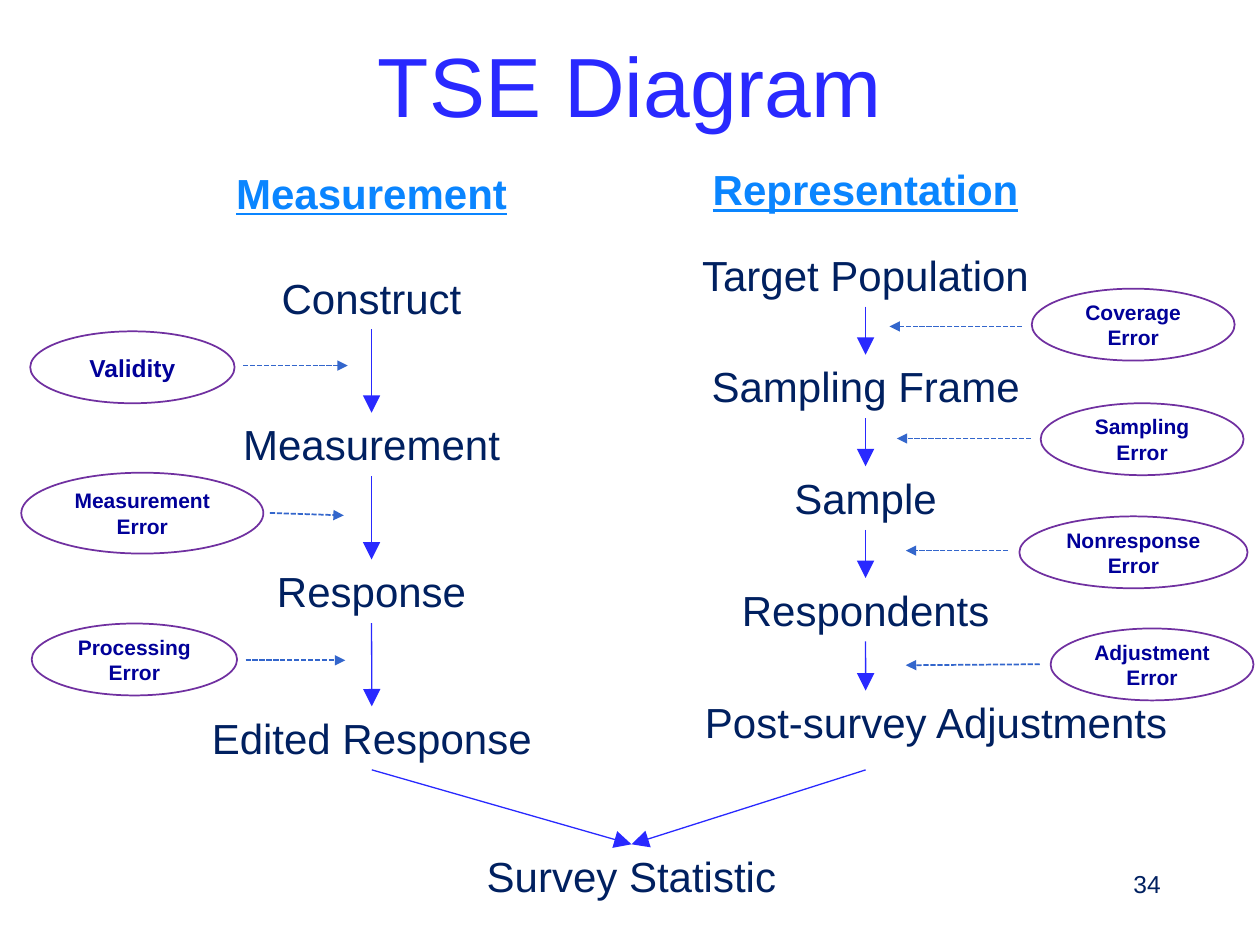
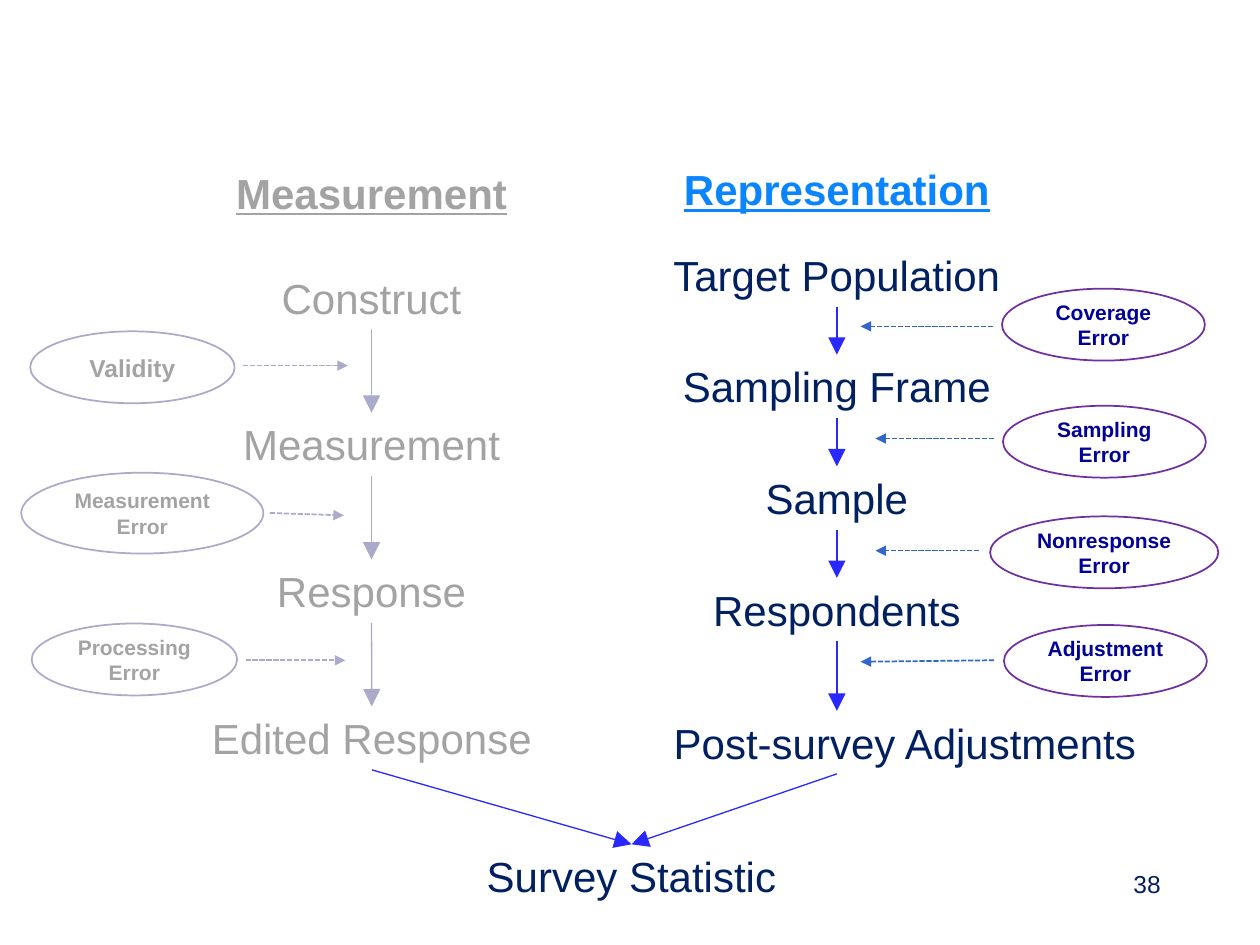
from dataclasses import dataclass

from lxml.etree import SubElement
from pptx import Presentation
from pptx.dml.color import RGBColor
from pptx.enum.dml import MSO_LINE
from pptx.enum.shapes import MSO_CONNECTOR, MSO_SHAPE
from pptx.enum.text import MSO_ANCHOR, PP_ALIGN
from pptx.oxml.ns import qn
from pptx.shapes.autoshape import Shape
from pptx.shapes.connector import Connector
from pptx.slide import Slide
from pptx.util import Cm, Pt


@dataclass(frozen=True)
class Theme:
    font: str = "Arial"
    title: str = "2929FF"
    ink: str = "002060"
    white: str = "FFFFFF"
    title_size: int = 48
    step_size: int = 24
    page_size: int = 14
    thin: float = 0.75
    thick: float = 1


@dataclass(frozen=True)
class Tone:
    """Colours of one side of the diagram."""
    head: str
    step: str
    flow: str
    ring: str
    note: str
    dash: str


@dataclass(frozen=True)
class Error:
    """An oval note and its dashed arrow, in centimetres."""
    text: str
    left: float
    top: float
    width: float
    start: float
    stop: float
    level: float
    drop: float = 0
    height: float = 1.45
    size: int = 12


@dataclass(frozen=True)
class Side:
    head: str
    head_top: float
    mid: float
    steps: tuple[str, ...]
    tops: tuple[float, ...]
    errors: tuple[Error, ...]
    last_left: float
    last_width: float
    merge_top: float


THEME = Theme()
VIVID = Tone("0A85FF", THEME.ink, THEME.title, "7030A0", "000099", "3366CC")
MUTED = Tone("A3A3A3", "A3A3A3", "AAAACA", "AAAACA", "A3A3A3", "AAAACA")

WIDTH, HEIGHT = 25.4, 19.05
BOX_W, BOX_H = 7.67, 1.28
HEAD_W = 7.06
OVAL_W, WIDE_W = 4.09, 4.6
GOAL_MID, GOAL_TOP = 12.73, 17.02


def rows(first: float, pitch: float, count: int) -> tuple[float, ...]:
    return tuple(first + pitch * i for i in range(count))


MEASURE = Side(
    "Measurement", 3.25, 7.49,
    ("Construct", "Measurement", "Response", "Edited Response"),
    rows(5.36, 2.96, 4),
    (
        Error("Validity", 0.61, 6.68, 4.12, 4.9, 7.01, 7.37, size=14),
        Error("Measurement Error", 0.43, 9.53, 4.88, 5.44, 6.93, 10.34, 0.05, 1.63),
        Error("Processing Error", 0.64, 12.57, 4.14, 4.95, 6.96, 13.31),
    ),
    3.66, BOX_W, 15.52,
)


def represent(mid: float, last_left: float, last_top: float, merge_top: float,
              errors: tuple[Error, ...]) -> Side:
    steps = ("Target Population", "Sampling Frame", "Sample", "Respondents",
             "Post-survey Adjustments")
    return Side("Representation", 3.18, mid, steps, rows(4.9, 2.25, 4) + (last_top,),
                errors, last_left, 10.52, merge_top)


FIRST = represent(17.45, 13.61, 13.92, 15.52, (
    Error("Coverage\nError", 20.8, 5.82, OVAL_W, 20.6, 17.93, 6.58),
    Error("Sampling Error", 20.98, 8.13, OVAL_W, 20.78, 18.08, 8.84),
    Error("Nonresponse Error", 20.55, 10.41, WIDE_W, 20.32, 18.26, 11.1),
    Error("Adjustment Error", 21.18, 12.67, OVAL_W, 20.96, 18.26, 13.39, 0.02),
))
SECOND = represent(16.87, 12.98, 14.33, 15.6, (
    Error("Coverage\nError", 20.2, 5.82, OVAL_W, 20.02, 17.35, 6.58),
    Error("Sampling Error", 20.22, 8.18, OVAL_W, 20.04, 17.65, 8.84),
    Error("Nonresponse Error", 19.96, 10.41, WIDE_W, 19.74, 17.65, 11.1),
    Error("Adjustment Error", 20.24, 12.6, OVAL_W, 20.04, 17.35, 13.31, 0.03),
))


def paint(color: str) -> RGBColor:
    return RGBColor.from_string(color)


def write(shape: Shape, text: str, size: int, color: str, bold: bool = False,
          line: bool = False, align: PP_ALIGN = PP_ALIGN.CENTER,
          anchor: MSO_ANCHOR = MSO_ANCHOR.TOP) -> None:
    frame = shape.text_frame
    frame.word_wrap = True
    frame.vertical_anchor = anchor
    frame.text = text
    for para in frame.paragraphs:
        para.alignment = align
        font = para.font
        font.name, font.size = THEME.font, Pt(size)
        font.bold, font.underline = bold, line
        font.color.rgb = paint(color)


def add_text(slide: Slide, left: float, top: float, width: float, height: float) -> Shape:
    return slide.shapes.add_textbox(Cm(left), Cm(top), Cm(width), Cm(height))


def add_frame(slide: Slide, kind: MSO_SHAPE, left: float, top: float, width: float,
              height: float, color: str, weight: float) -> Shape:
    """Add an unfilled outline shape."""
    shape = slide.shapes.add_shape(kind, Cm(left), Cm(top), Cm(width), Cm(height))
    shape.shadow.inherit = False
    shape.fill.background()
    shape.line.color.rgb = paint(color)
    shape.line.width = Pt(weight)
    return shape


def add_step(slide: Slide, text: str, left: float, top: float, width: float,
             color: str) -> Shape:
    box = add_frame(slide, MSO_SHAPE.RECTANGLE, left, top, width, BOX_H,
                    THEME.white, THEME.thin)
    write(box, text, THEME.step_size, color)
    return box


def add_arrow(slide: Slide, x1: float, y1: float, x2: float, y2: float,
              color: str, dashed: bool = False) -> Connector:
    arrow = slide.shapes.add_connector(MSO_CONNECTOR.STRAIGHT, Cm(x1), Cm(y1), Cm(x2), Cm(y2))
    arrow.line.color.rgb = paint(color)
    arrow.line.width = Pt(THEME.thick if dashed else THEME.thin)
    if dashed:
        arrow.line.dash_style = MSO_LINE.SQUARE_DOT
    span = "med" if dashed else "lg"
    SubElement(arrow.line._get_or_add_ln(), qn("a:tailEnd"), type="triangle", w=span, len=span)
    SubElement(arrow._element.spPr, qn("a:effectLst"))
    return arrow


def add_error(slide: Slide, error: Error, tone: Tone) -> None:
    oval = add_frame(slide, MSO_SHAPE.OVAL, error.left, error.top, error.width,
                     error.height, tone.ring, THEME.thick)
    write(oval, error.text, error.size, tone.note, bold=True, anchor=MSO_ANCHOR.MIDDLE)
    add_arrow(slide, error.start, error.level, error.stop, error.level + error.drop,
              tone.dash, dashed=True)


def add_side(slide: Slide, side: Side, tone: Tone, goal: Shape) -> None:
    """Draw one column of steps with its errors, and lead it to the goal."""
    head = add_text(slide, side.mid - HEAD_W / 2, side.head_top, HEAD_W, BOX_H)
    write(head, side.head, THEME.step_size, tone.head, bold=True, line=True)

    left = side.mid - BOX_W / 2
    boxes = [add_step(slide, text, left, top, BOX_W, tone.step)
             for text, top in zip(side.steps[:-1], side.tops)]
    boxes.append(add_step(slide, side.steps[-1], side.last_left, side.tops[-1],
                          side.last_width, tone.step))
    for i, (upper, lower) in enumerate(zip(boxes, boxes[1:])):
        arrow = add_arrow(slide, side.mid, side.tops[i] + BOX_H, side.mid,
                          side.tops[i + 1], tone.flow)
        arrow.begin_connect(upper, 2)
        if lower.width == upper.width:
            arrow.end_connect(lower, 0)

    merge = add_arrow(slide, side.mid, side.merge_top, GOAL_MID, GOAL_TOP, THEME.title)
    if side.last_width == BOX_W:
        merge.begin_connect(boxes[-1], 2)
    merge.end_connect(goal, 0)
    for error in side.errors:
        add_error(slide, error, tone)


def add_slide(deck: Presentation, page: str, tone: Tone, right: Side,
              title: str = "") -> None:
    slide = deck.slides.add_slide(deck.slide_layouts[6])
    if title:
        write(add_text(slide, 1.75, 0.53, 21.9, 2.34), title, THEME.title_size,
              THEME.title, anchor=MSO_ANCHOR.MIDDLE)
    goal = add_step(slide, "Survey Statistic", GOAL_MID - BOX_W / 2, GOAL_TOP,
                    BOX_W, THEME.ink)
    add_side(slide, MEASURE, tone, goal)
    add_side(slide, right, VIVID, goal)
    write(add_text(slide, 17.93, 17.4, 5.72, 1.02), page, THEME.page_size,
          THEME.ink, align=PP_ALIGN.RIGHT)


def main() -> None:
    deck = Presentation()
    deck.slide_width, deck.slide_height = Cm(WIDTH), Cm(HEIGHT)
    add_slide(deck, "34", VIVID, FIRST, "TSE Diagram")
    add_slide(deck, "38", MUTED, SECOND)
    deck.save("out.pptx")


if __name__ == "__main__":
    main()
